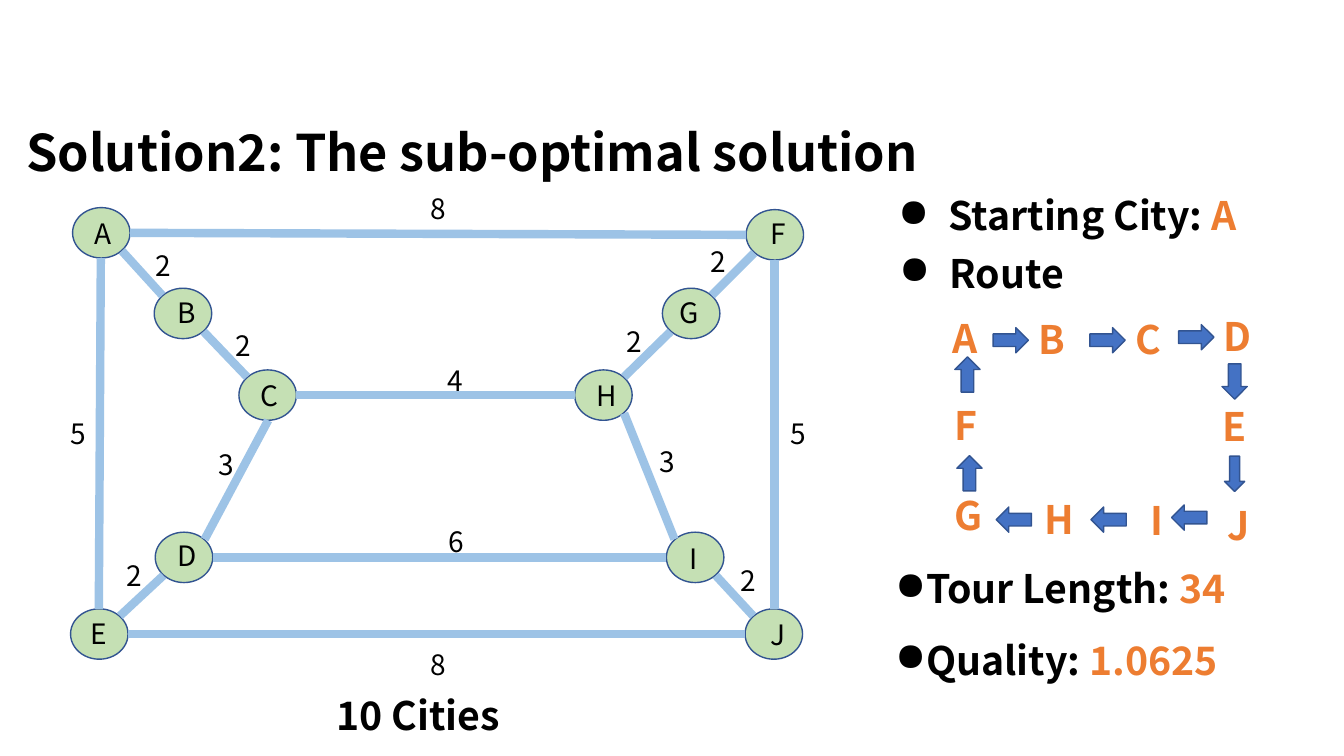
from math import cos, radians, sin
from lxml.etree import SubElement
from pptx import Presentation
from pptx.dml.color import RGBColor
from pptx.enum.shapes import MSO_CONNECTOR as Link, MSO_SHAPE as Kind
from pptx.enum.text import MSO_AUTO_SIZE as Fit
from pptx.oxml.ns import qn
from pptx.util import Emu, Pt

SCALE = 9144
FONT = "Noto Sans CJK SC"
BLACK, ORANGE = "000000", "ED7D31"
GREEN, NAVY = "C5E0B4", "325491"
BLUE, SKY = "4472C4", "9DC3E6"
WIDE, HIGH = 57, 50


def px(n):
    return Emu(n * SCALE)


def tint(code):
    return RGBColor.from_string(code)


class Board:
    def __init__(self):
        self.deck = Presentation()
        self.deck.slide_width, self.deck.slide_height = px(1333), px(750)
        self.slide = self.deck.slides.add_slide(self.deck.slide_layouts[6])
        self.shapes = self.slide.shapes

    def shape(self, kind, x, y, w, h, fill, turn=0):
        item = self.shapes.add_shape(kind, px(x), px(y), px(w), px(h))
        item.shadow.inherit = False
        item.fill.solid()
        item.fill.fore_color.rgb = tint(fill)
        item.line.color.rgb = tint(NAVY)
        item.line.width = Pt(1)
        item.rotation = turn

    def road(self, start, end):
        ends = [px(n) for n in (*start, *end)]
        item = self.shapes.add_connector(Link.STRAIGHT, *ends)
        item.line.color.rgb = tint(SKY)
        item.line.width = Pt(6)
        SubElement(item._element.spPr, qn("a:effectLst"))

    def text(self, x, y, w, h, size, runs, bold=True):
        frame = self.shapes.add_textbox(px(x), px(y), px(w), px(h)).text_frame
        frame.word_wrap = True
        frame.auto_size = Fit.SHAPE_TO_FIT_TEXT
        para = frame.paragraphs[0]
        for words, color in runs:
            run = para.add_run()
            run.text = words
            run.font.name = FONT
            run.font.size = Pt(size)
            run.font.bold = bold
            run.font.color.rgb = tint(color)
        return para

    def label(self, x, y, words):
        self.text(x, y, 30, 44, 20, [(words, BLACK)], False)

    def bullet(self, x, y, w, margin, runs):
        props = self.text(x, y, w, 57, 28, runs)._p.get_or_add_pPr()
        props.set("marL", str(px(margin)))
        props.set("indent", str(px(-50)))
        SubElement(props, qn("a:buChar")).set("char", "●")


CITIES = {
    "A": (72, 206, 84, 210),
    "B": (153, 286, 166, 288),
    "C": (237, 367, 249, 371),
    "D": (154, 528, 166, 529),
    "E": (70, 604, 80, 607),
    "F": (740, 208, 754, 210),
    "G": (657, 286, 664, 288),
    "H": (570, 367, 582, 371),
    "I": (661, 528, 674, 532),
    "J": (739, 604, 754, 608),
}

ROADS = [
    ("A", 6, "F", 2, "8", 417, 185),
    ("A", 5, "B", 1, "2", 144, 242),
    ("B", 5, "C", 1, "2", 224, 321),
    ("D", 7, "C", 4, "3", 207, 439),
    ("E", 7, "D", 3, "2", 116, 549),
    ("E", 6, "J", 2, "8", 417, 637),
    ("J", 1, "I", 5, "2", 725, 554),
    ("H", 5, "I", 1, "3", 644, 436),
    ("H", 7, "G", 3, "2", 612, 317),
    ("G", 7, "F", 3, "2", 695, 238),
    ("C", 6, "H", 2, "4", 434, 356),
    ("D", 6, "I", 2, "6", 435, 515),
    ("A", 4, "E", 0, "5", 60, 408),
    ("F", 4, "J", 0, "5", 774, 408),
]

ROUTE = [
    ("A", 935, 307, 985, 325, 25, 0),
    ("B", 1020, 308, 1081, 325, 25, 0),
    ("C", 1116, 308, 1169, 322, 25, 0),
    ("D", 1204, 305, 1207, 366, 25, 90),
    ("E", 1203, 394, 1207, 460, 20, 90),
    ("J", 1208, 492, 1162, 501, 25, 180),
    ("I", 1131, 487, 1082, 503, 25, 180),
    ("H", 1026, 486, 988, 503, 25, 180),
    ("G", 937, 483, 944, 457, 25, 270),
    ("F", 937, 393, 942, 359, 25, 270),
]

FACTS = [
    (881, 185, 388, 50, [("Starting City: ", BLACK), ("A", ORANGE)]),
    (882, 242, 315, 50, [("Route", BLACK)]),
    (878, 555, 390, 0, [("Tour Length: ", BLACK), ("34", ORANGE)]),
    (878, 626, 368, 0, [("Quality: ", BLACK), ("1.0625", ORANGE)]),
]


def site(city, step):
    x, y = CITIES[city][:2]
    angle = radians(90 + 45 * step)
    return (round(x + WIDE / 2 * (1 + cos(angle))),
            round(y + HIGH / 2 * (1 - sin(angle))))


def main():
    board = Board()
    for x, y, *_ in CITIES.values():
        board.shape(Kind.OVAL, x, y, WIDE, HIGH, GREEN)
    for start, out, end, into, *_ in ROADS:
        board.road(site(start, out), site(end, into))
    for *_, cost, x, y in ROADS:
        board.label(x, y, cost)
    board.text(16, 115, 1159, 71, 36,
               [("Solution2: The sub-optimal solution", BLACK)])
    board.text(324, 681, 205, 57, 28, [("10 Cities", BLACK)])
    for city, (*_, x, y) in CITIES.items():
        board.label(x, y, city)
    for city, x, y, left, top, thick, turn in ROUTE:
        board.text(x, y, 49, 57, 28, [(city, ORANGE)])
        board.shape(Kind.RIGHT_ARROW, left, top, 35, thick, BLUE, turn)
    for fact in FACTS:
        board.bullet(*fact)
    board.deck.save("out.pptx")


if __name__ == "__main__":
    main()
